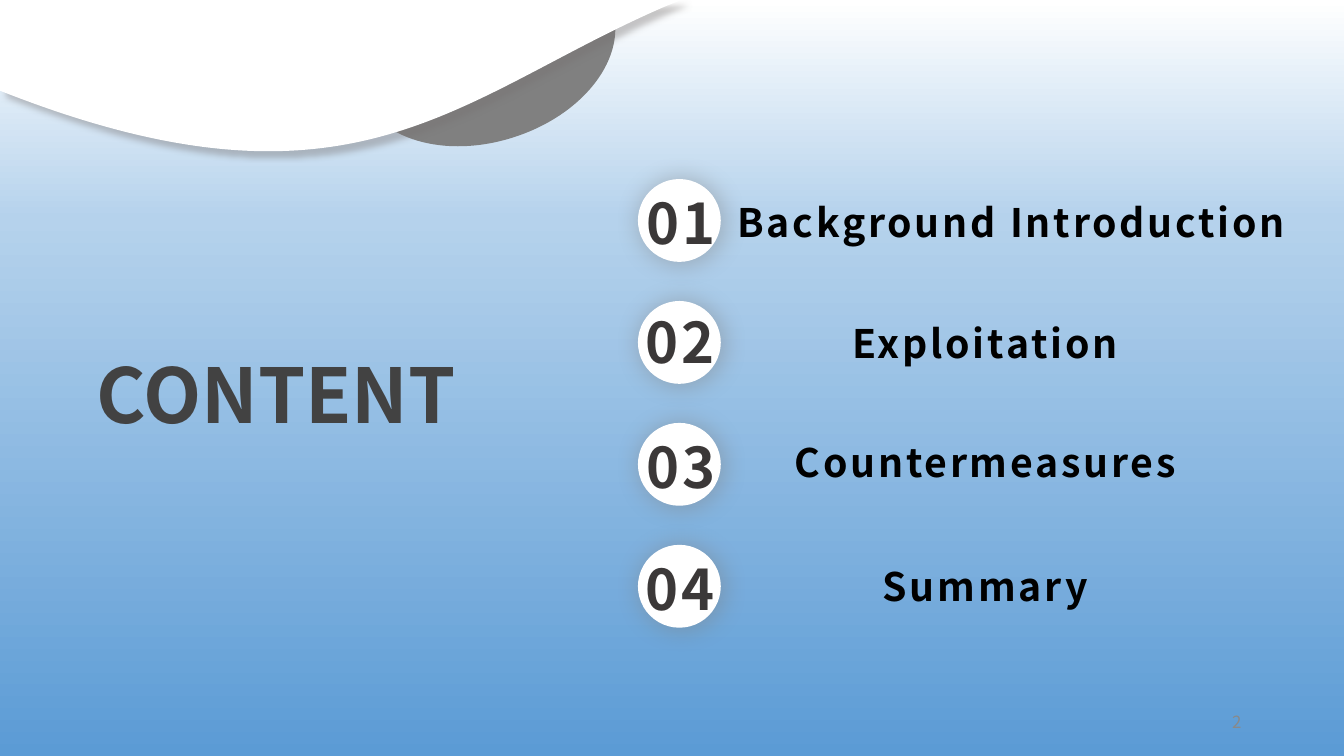
import copy

import lxml.etree
import pptx
import pptx.dml.color
import pptx.enum.shapes
import pptx.enum.text
import pptx.oxml.ns
import pptx.util

Pt = pptx.util.Pt
qn = pptx.oxml.ns.qn
RGB = pptx.dml.color.RGBColor.from_string
ALIGN = pptx.enum.text.PP_ALIGN
ANCHOR = pptx.enum.text.MSO_ANCHOR
FONT = "Noto Sans CJK SC"
COLORS = {
    "white": "FFFFFF", "sky": "B5D2EC", "blue": "5B9BD5", "gray": "808080",
    "title": "424242", "number": "3B3838", "label": "000000",
    "wave_shadow": "767171", "page": "898989",
}


def add_text(shapes, box, text, size, color, bold=True, spacing=0, title=False):
    tb = shapes.add_textbox(*[Pt(v) for v in box])
    tf = tb.text_frame
    tf.text = text
    tf.word_wrap = not title
    if not title:
        tf.vertical_anchor = ANCHOR.MIDDLE
        tf.margin_left = tf.margin_right = tf.margin_top = tf.margin_bottom = 0
    p = tf.paragraphs[0]
    p.alignment = ALIGN.LEFT if title else ALIGN.CENTER
    r = p.runs[0]
    r.font.size, r.font.bold, r.font.name = Pt(size), bold, FONT
    r.font.color.rgb = RGB(COLORS[color])
    rPr = r.font._element
    lxml.etree.SubElement(rPr, qn("a:ea")).set("typeface", FONT)
    if spacing:
        rPr.set("spc", str(spacing * 100))


def style(sp, fill, shadow=None):
    sp.fill.solid()
    sp.fill.fore_color.rgb = RGB(COLORS[fill])
    sp.line.fill.background()
    sp.shadow.inherit = False
    if shadow:
        color, blur, dist, angle, scale = shadow
        effects = sp._element.spPr.find(qn("a:effectLst"))
        outer = lxml.etree.SubElement(
            effects, qn("a:outerShdw"), blurRad=str(Pt(blur)), dist=str(Pt(dist)),
            dir=str(angle * 60000), sx=str(scale * 1000), sy=str(scale * 1000),
            algn="ctr", rotWithShape="0")
        clr = lxml.etree.SubElement(outer, qn("a:srgbClr"), val=COLORS[color])
        lxml.etree.SubElement(clr, qn("a:alpha"), val="40000")


prs = pptx.Presentation()
prs.slide_width, prs.slide_height = Pt(960), Pt(540)
s = prs.slides.add_slide(prs.slide_layouts[6])

# Background gradient, white at the top
bg = s.background.fill
bg.gradient()
bg.gradient_angle = 270
stops = s._element.find(".//" + qn("a:gsLst"))
stops.append(copy.deepcopy(stops[-1]))
for stop, (pos, color) in zip(bg.gradient_stops, [(0, "white"), (0.29, "sky"), (1, "blue")]):
    stop.position = pos
    stop.color.rgb = RGB(COLORS[color])

# Header curves: start point, straight corners, then Bezier points in threes
ELLIPSE = [(296.6, -19.8), (443.5, 29.1), (443.7, 35.2),
           (443.5, 72), (401.4, 100.8), (349.2, 100.8),
           (296.6, 100.8), (254.2, 71.2), (254.2, 35.2),
           (254.2, 12.3), (270.6, -8), (295.6, -19.3)]
WAVE = [(0, 0), (486.7, 0), (475.9, 4.3),
        (326.9, 68.4), (253.4, 164.9), (0, 64.8)]
CORNERS = 2
for points, rotation, fill, shadow in [
        (ELLIPSE, 341.6, "gray", None),
        (WAVE, 0, "white", ("wave_shadow", 4, 6, 45, 100))]:
    emu = [(Pt(x), Pt(y)) for x, y in points]
    fb = s.shapes.build_freeform(*emu[0])
    fb.add_line_segments(emu[1:], close=True)
    sp = fb.convert_to_shape()
    lines = sp._element.findall(".//" + qn("a:lnTo"))[CORNERS:len(points) - 1]
    for i in range(0, len(lines), 3):
        curve = lxml.etree.Element(qn("a:cubicBezTo"))
        lines[i].addprevious(curve)
        for line in lines[i:i + 3]:
            curve.append(line[0])
            line.getparent().remove(line)
    sp.rotation = rotation
    style(sp, fill, shadow)

# Title
add_text(s.shapes, (61.9, 244.8, 287.3, 72.7), "CONTENT", 54, "title", title=True)

# Numbered agenda: label, label left, label top, number left, number top
ITEMS = [
    ("Background Introduction", 514.8, 141.8, 445, 134.6),
    ("Exploitation", 477.4, 228, 444.2, 219.6),
    ("Countermeasures", 477.4, 313.2, 445, 308.9),
    ("Summary", 477.4, 401.8, 444.2, 396),
]
LABEL_RIGHT, CIRCLE, PITCH = 930.2, 59.2, 87.1
for i, (label, left, top, num_left, num_top) in enumerate(ITEMS):
    grp = s.shapes.add_group_shape()
    sp = grp.shapes.add_shape(pptx.enum.shapes.MSO_SHAPE.OVAL, Pt(455.7),
                              Pt(127.9 + i * PITCH), Pt(CIRCLE), Pt(CIRCLE))
    style(sp, "white", ("gray", 16, 2, 30, 108))
    add_text(grp.shapes, (num_left, num_top, 82.8, 48.2), f"{i + 1:02d}", 40, "number", spacing=2)
    add_text(s.shapes, (left, top, LABEL_RIGHT - left, 33.8), label, 28, "label", spacing=2)

# Page number
add_text(s.shapes, (868, 506, 31, 19), "2", 12, "page", bold=False)

prs.save("out.pptx")
